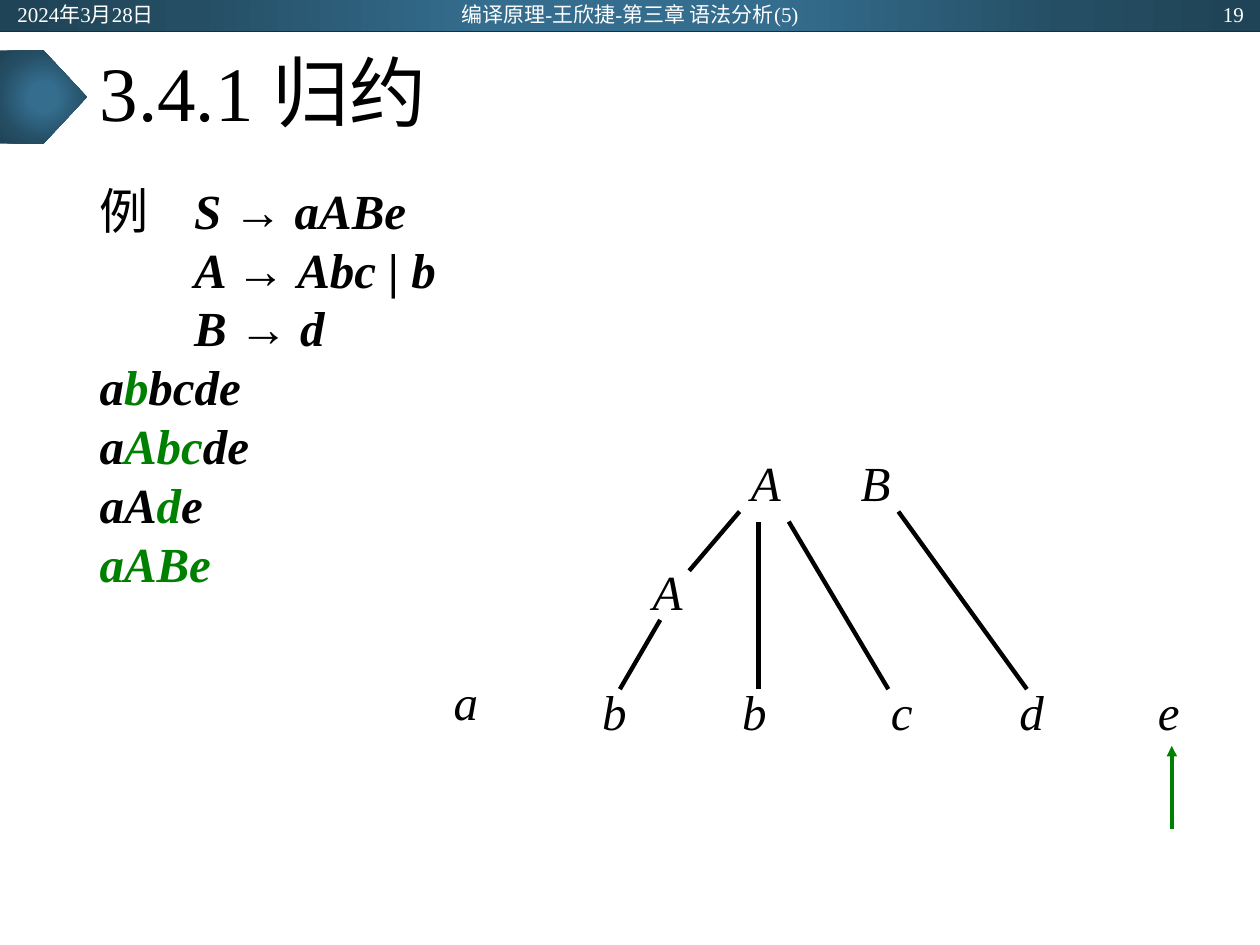
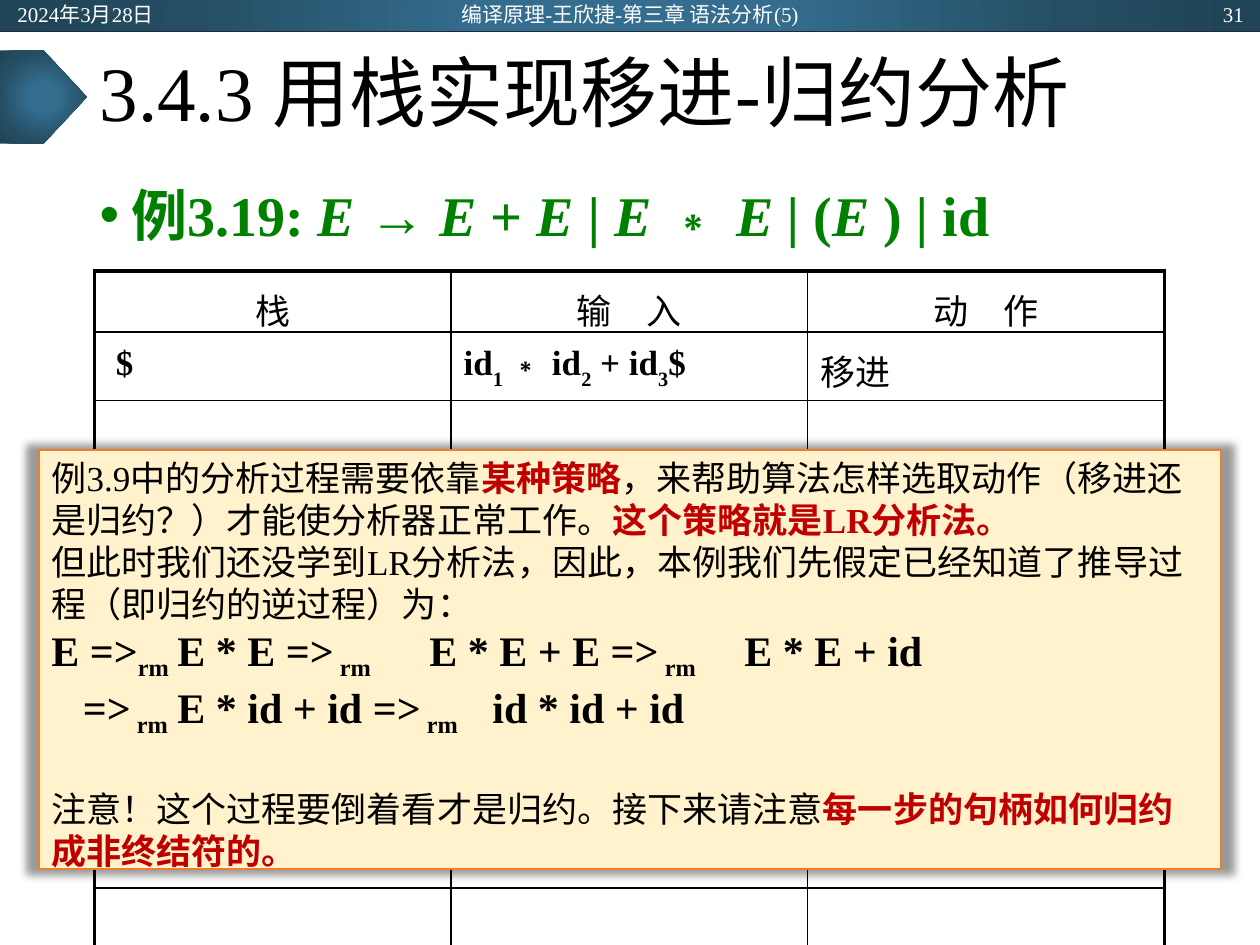
import pptx
import pptx.util
import pptx.dml.color
import pptx.enum.shapes
import pptx.enum.text
import pptx.oxml
import pptx.oxml.ns
import lxml.etree

UNIT = 9144  # EMU in one px, 100 px to the inch
TIMES, HAN = "Times New Roman", "Noto Sans CJK SC"
BLACK, WHITE, GREEN, RED = "000000", "FFFFFF", "008000", "C00000"
STOPS = [(0, "346D8E"), (23, "346D8E"), (69, "254E64"), (97, "204457")]
ALIGN = pptx.enum.text.PP_ALIGN
ANCHOR = pptx.enum.text.MSO_ANCHOR
SHAPE = pptx.enum.shapes.MSO_SHAPE
qn = pptx.oxml.ns.qn

# Run formats
BOLD, ITAL, ROMAN = {"bold": True}, {"italic": True}, {"italic": False}
LEAF = {"color": GREEN}
KEY = {"color": RED, "bold": True}
SUB = {"bold": True, "base": -30000}
LOW = {"base": -25000}


def px(*nums):
    return [pptx.util.Emu(n * UNIT) for n in nums]


def rgb(code):
    return pptx.dml.color.RGBColor.from_string(code)


def xml(text):
    space = 'xmlns:a="http://schemas.openxmlformats.org/drawingml/2006/main"'
    return pptx.oxml.parse_xml(text.replace(">", f" {space}>", 1))


def apply(item, look):
    for name, value in look.items():
        setattr(item, name, value)


class Deck:
    def __init__(self):
        self.prs = pptx.Presentation()
        self.prs.slide_width, self.prs.slide_height = px(1000, 750)
        self.slide = None

    # Text
    def run(self, para, text, look):
        look = dict(look)
        run = para.add_run()
        run.text = text
        color, base = look.pop("color", BLACK), look.pop("base", None)
        look["size"] = pptx.util.Pt(look["size"])
        apply(run.font, {"name": TIMES, **look})
        run.font.color.rgb = rgb(color)
        if base:
            run._r.get_or_add_rPr().set("baseline", str(base))

    def words(self, frame, paras, look, form=None, frames=None):
        """Each paragraph is a list of strings or (string, format) pairs."""
        apply(frame, {"word_wrap": True, **(frames or {})})
        for i, parts in enumerate(paras):
            para = frame.paragraphs[0] if i == 0 else frame.add_paragraph()
            apply(para, {"space_before": pptx.util.Pt(0), **(form or {})})
            for part in parts:
                text, extra = (part, {}) if isinstance(part, str) else part
                self.run(para, text, {**look, **extra})

    def inset(self, para, left, first=0, bullet=None, tabs=()):
        props = para._p.get_or_add_pPr()
        props.set("marL", str(left * UNIT))
        props.set("indent", str(first * UNIT))
        if bullet:
            lxml.etree.SubElement(props, qn("a:buChar"), char=bullet)
        else:
            lxml.etree.SubElement(props, qn("a:buNone"))
        if tabs:
            stops = lxml.etree.SubElement(props, qn("a:tabLst"))
            for pos in tabs:
                lxml.etree.SubElement(stops, qn("a:tab"), pos=str(pos * UNIT), algn="l")

    def text(self, box, label, look, form=None, pad=(10, 5), frames=None):
        frame = self.slide.shapes.add_textbox(*px(*box)).text_frame
        side, edge = px(*pad)
        self.words(frame, [[label]], look, form, {
            "margin_left": side, "margin_right": side,
            "margin_top": edge, "margin_bottom": edge, **(frames or {})})

    def hold(self, index, box, paras, look, form=None, frames=None):
        item = self.slide.placeholders[index]
        apply(item, dict(zip(("left", "top", "width", "height"), px(*box))))
        self.words(item.text_frame, paras, look, form, {
            "auto_size": pptx.enum.text.MSO_AUTO_SIZE.NONE, **(frames or {})})
        return item.text_frame

    def body(self, paras, look, form=None, bullet=None):
        frame = self.hold(1, (69, 138, 862, 538), paras, look, form,
                          {"vertical_anchor": ANCHOR.TOP})
        for para in frame.paragraphs:
            self.inset(para, 25, -25, bullet)

    # Shapes
    def shape(self, kind, box):
        item = self.slide.shapes.add_shape(kind, *px(*box))
        item.shadow.inherit = False
        item.line.fill.background()
        return item

    def glow(self, kind, box):
        item = self.shape(kind, box)
        stops = "".join(f'<a:gs pos="{pos * 1000}"><a:srgbClr val="{code}"/></a:gs>'
                        for pos, code in STOPS)
        item._element.spPr.find(qn("a:prstGeom")).addnext(xml(
            f'<a:gradFill><a:gsLst>{stops}</a:gsLst><a:path path="circle">'
            '<a:fillToRect l="50000" t="50000" r="50000" b="50000"/></a:path></a:gradFill>'))

    def line(self, ends, color=BLACK, width=2.5, arrow=False):
        kind = pptx.enum.shapes.MSO_CONNECTOR.STRAIGHT
        item = self.slide.shapes.add_connector(kind, *px(*ends))
        item.line.color.rgb = rgb(color)
        item.line.width = pptx.util.Pt(width)
        props = item._element.spPr
        if arrow:
            lxml.etree.SubElement(props.find(qn("a:ln")), qn("a:tailEnd"), type="triangle")
        lxml.etree.SubElement(props, qn("a:effectLst"))

    # Table
    def edge(self, cell, side, width):
        cell._tc.get_or_add_tcPr().append(xml(
            f'<a:{side} w="{int(width * 12700)}"><a:solidFill><a:srgbClr val="{BLACK}"/>'
            f'</a:solidFill></a:{side}>'))

    def table(self, box, rows, tall, cells):
        cols = len(cells[0])
        grid = self.slide.shapes.add_table(rows, cols, *px(*box)).table
        grid.first_row = grid.horz_banding = False
        for r, row in enumerate(grid.rows):
            row.height = px(tall.get(r, 43))[0]
            for c, cell in enumerate(row.cells):
                cell.margin_top = px(10)[0]
                bounds = {"lnL": c == 0, "lnR": c == cols - 1,
                          "lnT": r == 0, "lnB": r == rows - 1}
                for side, outer in bounds.items():
                    self.edge(cell, side, 2.25 if outer else 1)
                cell.fill.background()
                if r < len(cells):
                    form = {"alignment": ALIGN.CENTER if r == 0 else ALIGN.LEFT}
                    self.words(cell.text_frame, [cells[r][c]], {"size": 20}, form)
                else:
                    end = cell.text_frame.paragraphs[0]._p
                    lxml.etree.SubElement(end, qn("a:endParaRPr"), sz="2000")
        return grid

    # Shared frame of every slide
    def page(self, title, number):
        self.slide = self.prs.slides.add_slide(self.prs.slide_layouts[1])
        self.glow(SHAPE.RECTANGLE, (0, 0, 1000, 25))
        self.line((0, 25, 1000, 25), "222A35", 0.5)
        self.glow(SHAPE.PENTAGON, (0, 40, 69, 74))
        self.hold(0, (69, 25, 862, 104), [[title]], {"size": 44},
                  {"alignment": ALIGN.LEFT, "line_spacing": 0.9},
                  {"vertical_anchor": ANCHOR.MIDDLE})
        heads = [((4, 1, 225, 20), "2024年3月28日", ALIGN.LEFT),
                 ((331, 1, 338, 20), "编译原理-王欣捷-第三章 语法分析(5)", ALIGN.CENTER),
                 ((772, 1, 225, 20), number, ALIGN.RIGHT)]
        for box, label, side in heads:
            self.text(box, label, {"size": 12, "color": WHITE}, {"alignment": side},
                      frames={"vertical_anchor": ANCHOR.MIDDLE})


def reduce(deck):
    deck.page("3.4.1 归约", "19")
    deck.body([
        [("例\t", {"bold": False, "italic": False}), "S ", ("→ ", ROMAN), "aABe"],
        ["\t\tA ", ("→ ", ROMAN), "Abc | b"],
        ["\t\tB ", ("→ ", ROMAN), "d"],
        ["a", ("b", LEAF), "bcde"],
        ["a", ("Abc", LEAF), "de"],
        ["aA", ("d", LEAF), "e"],
        [("aABe", LEAF)],
    ], {"size": 28, **BOLD, **ITAL})

    # Parse tree
    nodes = [("a", 358, 532), ("b", 476, 540), ("b", 587, 540), ("c", 705, 540),
             ("d", 807, 540), ("e", 917, 540), ("A", 516, 445), ("A", 594, 358),
             ("B", 681, 358)]
    for name, left, top in nodes:
        deck.text((left, top, 47, 55), name, {"size": 28, **ITAL}, pad=(2, 1))
    for ends in [(492, 547, 524, 492), (547, 453, 587, 406), (602, 547, 602, 414),
                 (626, 414, 705, 547), (713, 406, 815, 547)]:
        deck.line(ends)
    deck.line((930, 658, 930, 592), GREEN, 2, arrow=True)


def stack(deck):
    deck.page("3.4.3 用栈实现移进-归约分析", "31")
    deck.body([[
        "例3.19:", (" E ", ITAL), "→ ", ("E ", ITAL), "+", (" E | E ", ITAL), "∗",
        (" E | ", ITAL), "(", ("E ", ITAL), ")", (" | ", ITAL), "id",
    ]], {"size": 32, "color": GREEN, **BOLD}, bullet="•")

    # Moves of the parser
    han = {"name": HAN}
    grid = deck.table((75, 215, 849, 520), 12, {3: 47}, [
        [[(label, han)] for label in ("栈", "输　入", "动　作")],
        [[("$", BOLD)],
         [("id", BOLD), ("1 ", SUB), ("∗ id", BOLD), ("2", SUB), (" + id", BOLD),
          ("3", SUB), ("$", BOLD)],
         [("移进", han)]],
    ])
    deck.inset(grid.cell(1, 0).text_frame.paragraphs[0], 7)

    # Note over the table
    note = deck.shape(SHAPE.RECTANGLE, (31, 357, 938, 333))
    note.fill.solid()
    note.fill.fore_color.rgb = rgb("FFF2CC")
    note.line.color.rgb = rgb("ED7D31")
    note.line.width = pptx.util.Pt(1)
    note._element.spPr.find(qn("a:effectLst")).append(xml(
        '<a:outerShdw blurRad="63500" sx="102000" sy="102000" algn="ctr" rotWithShape="0">'
        f'<a:srgbClr val="{BLACK}"><a:alpha val="40000"/></a:srgbClr></a:outerShdw>'))
    big = {"size": 24, **BOLD}
    rm, gap = ("rm", {**big, **LOW}), (" rm", {**big, **LOW})
    frame = note.text_frame
    deck.words(frame, [
        ["例3.9中的分析过程需要依靠", ("某种策略", KEY),
         "，来帮助算法怎样选取动作（移进还是归约？）才能使分析器正常工作。",
         ("这个策略就是LR分析法。", KEY)],
        ["但此时我们还没学到LR分析法，因此，本例我们先假定已经知道了推导过程"
         "（即归约的逆过程）为："],
        [("E =>", big), rm, ("\tE * E =>", big), gap, ("\tE * E + E =>", big), gap,
         ("\tE * E + id", big)],
        [("=>", big), gap, ("\tE * id + id =>", big), gap, ("\tid * id + id", big)],
        ["注意！这个过程要倒着看才是归约。接下来请注意",
         ("每一步的句柄如何归约成非终结符的。", KEY)],
    ], {"size": 20}, {"alignment": ALIGN.LEFT}, {"vertical_anchor": ANCHOR.TOP})
    deck.inset(frame.paragraphs[2], 0, tabs=(110, 280, 509))
    deck.inset(frame.paragraphs[3], 0, 25, tabs=(109, 349))
    frame.paragraphs[4].space_before = pptx.util.Pt(28)


def main():
    deck = Deck()
    reduce(deck)
    stack(deck)
    deck.prs.save("out.pptx")


if __name__ == "__main__":
    main()
